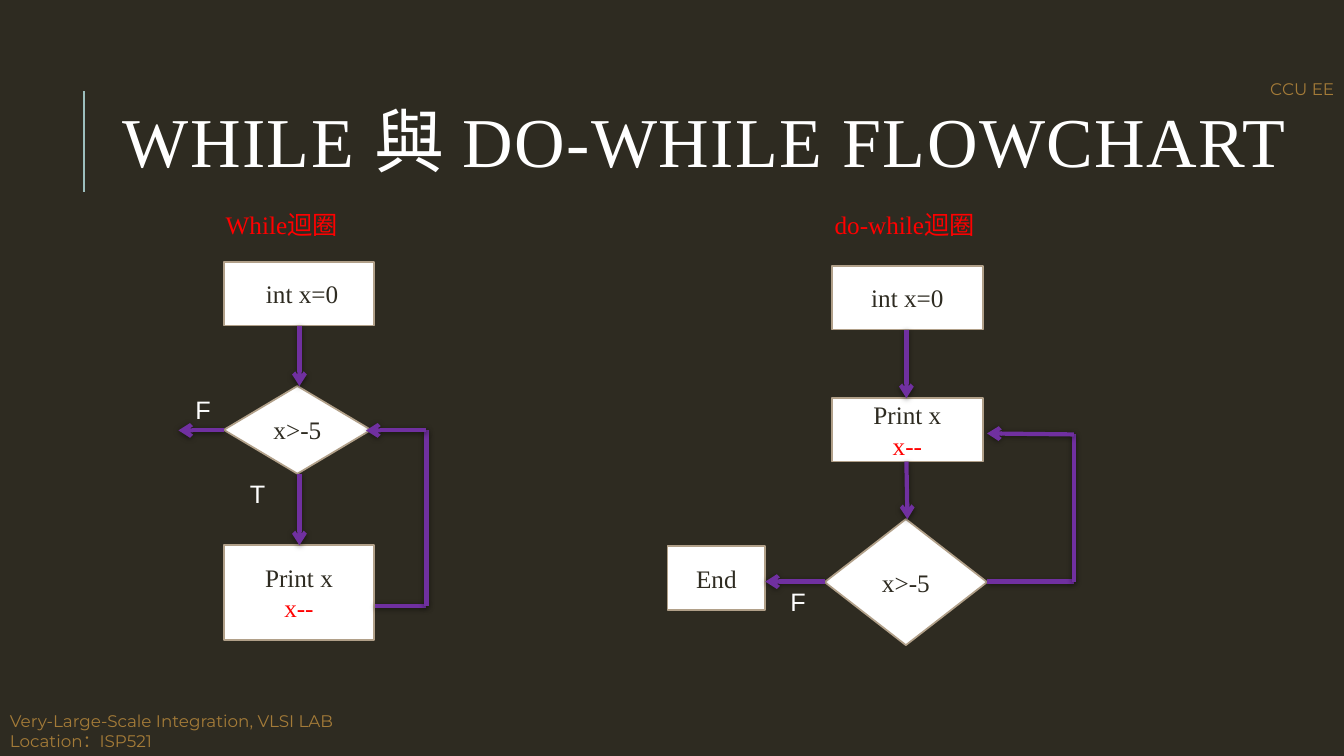
from typing import NamedTuple

from lxml import etree
from pptx import Presentation
from pptx.dml.color import RGBColor
from pptx.enum.shapes import MSO_CONNECTOR, MSO_SHAPE
from pptx.enum.text import MSO_ANCHOR, PP_ALIGN
from pptx.oxml import parse_xml
from pptx.oxml.ns import qn
from pptx.util import Inches, Pt

RECT, DIAMOND = MSO_SHAPE.RECTANGLE, MSO_SHAPE.DIAMOND
STRAIGHT = MSO_CONNECTOR.STRAIGHT
TOP, MIDDLE = MSO_ANCHOR.TOP, MSO_ANCHOR.MIDDLE
LEFT, CENTER = PP_ALIGN.LEFT, PP_ALIGN.CENTER

COLORS = {
    "background": "2E2B21", "rule": "9CBEBD", "footer": "A47B38",
    "white": "FFFFFF", "dark": "2E2B21", "red": "FF0000",
    "border": "B1A089", "arrow": "7030A0",
}
FORMATS = {
    "title": {"name": "Times New Roman", "size": Pt(50)},
    "serif": {"name": "Times New Roman", "size": Pt(18)},
    "branch": {"name": "Arial", "size": Pt(18)},
    "footer": {"name": "Montserrat", "size": Pt(12)},
}
SHADOW = (
    '<a:effectLst xmlns:a="http://schemas.openxmlformats.org/drawingml/2006/main">'
    '<a:outerShdw blurRad="50800" dist="12700" dir="5400000" rotWithShape="0">'
    '<a:srgbClr val="000000"><a:alpha val="50000"/></a:srgbClr>'
    '</a:outerShdw></a:effectLst>'
)


class Label(NamedTuple):
    x: float
    y: float
    w: float
    h: float
    lines: tuple[str, ...]
    style: str
    color: str


class Node(NamedTuple):
    kind: int
    x: float
    y: float
    w: float
    h: float
    lines: tuple[str, ...]


class Flow(NamedTuple):
    points: tuple[tuple[float, float], ...]


def rgb(name: str) -> RGBColor:
    return RGBColor.from_string(COLORS[name])


def write(tf, lines, style, colors, align=LEFT, anchor=TOP) -> None:
    for key, value in {"word_wrap": True, "vertical_anchor": anchor}.items():
        setattr(tf, key, value)
    for i, (line, color) in enumerate(zip(lines, colors)):
        p = tf.paragraphs[0] if i == 0 else tf.add_paragraph()
        p.alignment = align
        r = p.add_run()
        r.text = line
        for key, value in FORMATS[style].items():
            setattr(r.font, key, value)
        r.font.color.rgb = rgb(color)


def add_label(s, label: Label, anchor=TOP):
    box = [Inches(v) for v in label[:4]]
    tf = s.shapes.add_textbox(*box).text_frame
    write(tf, label.lines, label.style, [label.color] * len(label.lines), anchor=anchor)
    return tf


def add_node(s, node: Node) -> None:
    sp = s.shapes.add_shape(node.kind, *[Inches(v) for v in node[1:5]])
    sp.shadow.inherit = False
    sp.fill.solid()
    sp.fill.fore_color.rgb = rgb("white")
    sp.line.color.rgb = rgb("border")
    sp.line.width = Pt(1.25)
    write(sp.text_frame, node.lines, "serif", ("dark", "red"), CENTER, MIDDLE)


def add_line(s, start, end, color: str, width: float):
    c = s.shapes.add_connector(STRAIGHT, *[Inches(v) for v in (*start, *end)])
    c.line.color.rgb = rgb(color)
    c.line.width = Pt(width)
    return c


def add_flow(s, flow: Flow) -> None:
    """Draw a path of straight segments with an arrowhead on the last."""
    segments = list(zip(flow.points, flow.points[1:]))
    for i, (start, end) in enumerate(segments, 1):
        c = add_line(s, start, end, "arrow", 3)
        if i == len(segments):
            ln = c.line._get_or_add_ln()
            etree.SubElement(ln, qn("a:tailEnd"), type="arrow")
        c._element.spPr.append(parse_xml(SHADOW))


prs = Presentation()
prs.slide_width, prs.slide_height = Inches(13.33), Inches(7.5)
s = prs.slides.add_slide(prs.slide_layouts[6])
s.background.fill.solid()
s.background.fill.fore_color.rgb = rgb("background")

# Title with its side rule
rule = add_line(s, (0.83, 1.9), (0.83, 0.9), "rule", 1.5)
etree.SubElement(rule._element.spPr, qn("a:effectLst"))
title = Label(1.12, 0.64, 12.02, 1.64, ("WHILE 與 DO-WHILE FLOWCHART",), "title", "white")
p = add_label(s, title, MIDDLE).paragraphs[0]
p.line_spacing = 0.8
p.runs[0].font._element.set("spc", "100")

# Footer, chart headings and branch labels
LABELS = [
    Label(0, 7, 3.84, 0.5,
          ("Very-Large-Scale Integration, VLSI LAB", "Location：ISP521"), "footer", "footer"),
    Label(12.5, 0.73, 0.9, 0.3, ("CCU EE",), "footer", "footer"),
    Label(2.14, 2.03, 1.57, 0.4, ("While迴圈",), "serif", "red"),
    Label(8.18, 2.03, 1.71, 0.4, ("do-while迴圈",), "serif", "red"),
    Label(2.38, 4.7, 1.65, 0.4, ("T",), "branch", "white"),
    Label(1.84, 3.86, 1.65, 0.4, ("F",), "branch", "white"),
    Label(7.74, 5.77, 1.65, 0.4, ("F",), "branch", "white"),
]

# Flowchart steps: while on the left, do-while on the right
INIT, TEST, BODY = ("int x=0",), ("x>-5",), ("Print x", "x--")
NODES = [
    Node(RECT, 2.22, 2.6, 1.49, 0.63, (" int x=0",)),
    Node(DIAMOND, 2.22, 3.83, 1.46, 0.87, TEST),
    Node(RECT, 2.22, 5.41, 1.49, 0.94, BODY),
    Node(RECT, 8.25, 2.64, 1.5, 0.63, INIT),
    Node(RECT, 8.25, 3.95, 1.5, 0.63, BODY),
    Node(DIAMOND, 8.18, 5.15, 1.61, 1.25, TEST),
    Node(RECT, 6.62, 5.42, 0.97, 0.63, ("End",)),
]

# Arrows, including the loop back of each chart
FLOWS = [
    Flow(((2.97, 3.23), (2.97, 3.83))),
    Flow(((2.97, 4.7), (2.97, 5.41))),
    Flow(((2.22, 4.27), (1.77, 4.27))),
    Flow(((3.72, 6.01), (4.23, 6.01), (4.23, 4.27), (3.63, 4.27))),
    Flow(((8.99, 3.27), (8.99, 3.95))),
    Flow(((8.99, 4.58), (9, 5.15))),
    Flow(((8.18, 5.77), (7.59, 5.77))),
    Flow(((9.79, 5.77), (10.65, 5.77), (10.65, 4.31), (9.79, 4.3))),
]

for draw, parts in ((add_node, NODES), (add_flow, FLOWS), (add_label, LABELS)):
    for part in parts:
        draw(s, part)

prs.save("out.pptx")
